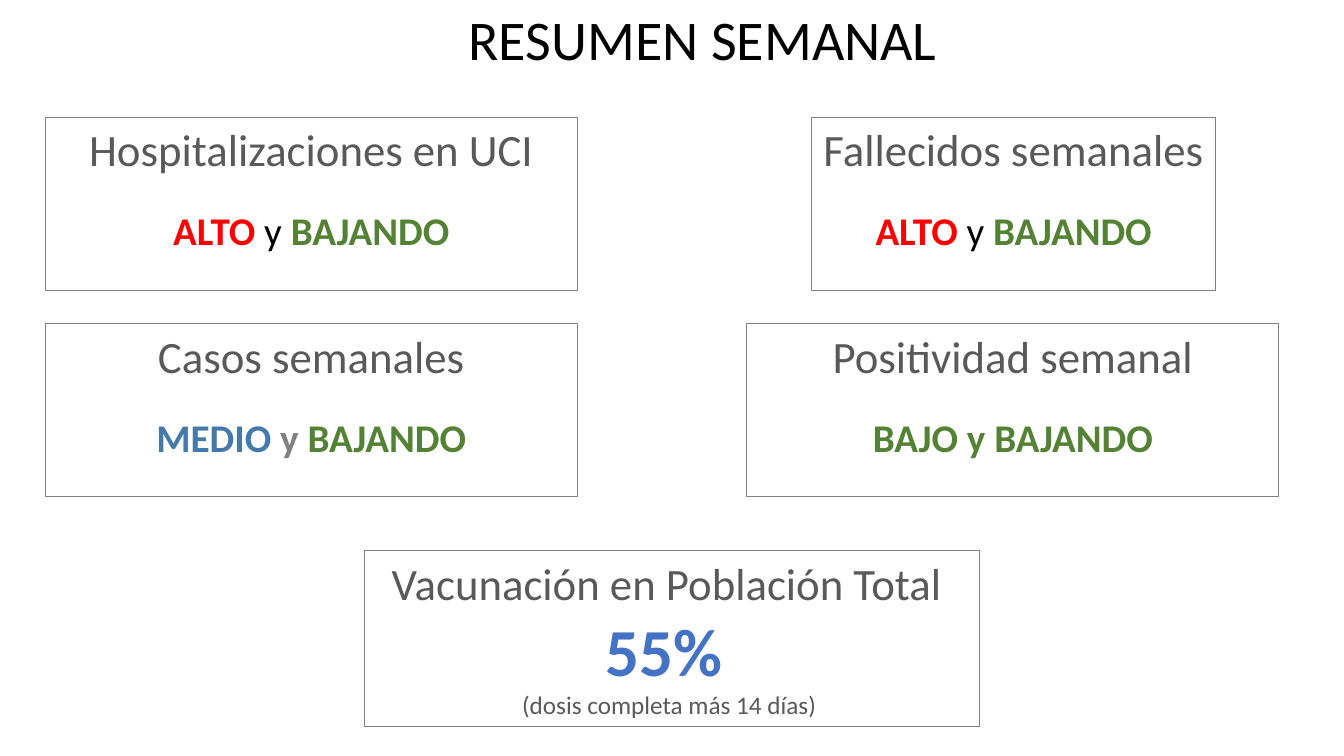
"""Build the weekly summary slide with its five indicator boxes."""
from pptx import Presentation
from pptx.dml.color import RGBColor
from pptx.enum.shapes import MSO_SHAPE
from pptx.enum.text import MSO_ANCHOR, PP_ALIGN
from pptx.util import Cm, Pt

GREY, GREEN, RED, BLACK = "595959", "548235", "FF0000", "000000"


def paint(target, color):
    target.rgb = RGBColor.from_string(color)


def write(frame, rows, align):
    for i, (size, bold, gap, parts) in enumerate(rows):
        line = frame.paragraphs[0] if i == 0 else frame.add_paragraph()
        line.alignment = align
        if gap:
            line.space_before = Pt(gap)
        line.font.name, line.font.size = "Calibri", Pt(size)
        if bold is not None:
            line.font.bold = bold
        for text, color, *weight in parts:
            run = line.add_run()
            run.text = text
            paint(run.font.color, color)
            if weight:
                run.font.bold = weight[0]


deck = Presentation()
deck.slide_width, deck.slide_height = Cm(33.87), Cm(19.05)
slide = deck.slides.add_slide(deck.slide_layouts[6])

title = slide.shapes.add_textbox(Cm(11.56), Cm(0), Cm(12.42), Cm(1.96))
title.text_frame.word_wrap = False
write(title.text_frame, [(40, False, 0, [("RESUMEN SEMANAL", BLACK)])], PP_ALIGN.LEFT)

high = [("ALTO", RED, True), (" y ", BLACK, False), ("BAJANDO", GREEN, True)]
medium = [("MEDIO ", "437AAB", True), ("y ", "808080", True), ("BAJANDO", GREEN, True)]
low = [("BAJO y BAJANDO", GREEN, True)]
vaccine = [
    (48, True, 0, [("55% ", "4472C4")]),
    (18, False, 0, [("(dosis completa más 14 días) ", GREY)]),
]

boxes = [
    (9.19, 13.87, 15.49, 4.45, "Vacunación en Población Total ", vaccine),
    (1.14, 2.95, 13.41, 4.37, "Hospitalizaciones en UCI", [(28, None, 22, high)]),
    (20.45, 2.95, 10.19, 4.37, "Fallecidos semanales", [(28, None, 22, high)]),
    (1.14, 8.15, 13.41, 4.37, "Casos semanales", [(28, None, 22, medium)]),
    (18.82, 8.15, 13.41, 4.37, "Positividad semanal", [(28, None, 22, low)]),
]
for left, top, width, height, head, rows in boxes:
    box = slide.shapes.add_shape(
        MSO_SHAPE.RECTANGLE, Cm(left), Cm(top), Cm(width), Cm(height))
    box.shadow.inherit = False
    box.fill.background()
    paint(box.line.color, "808080")
    box.line.width = Pt(0.75)
    frame = box.text_frame
    frame.word_wrap = True
    frame.vertical_anchor = MSO_ANCHOR.TOP
    write(frame, [(32, False, 0, [(head, GREY)])] + rows, PP_ALIGN.CENTER)

deck.save("out.pptx")
